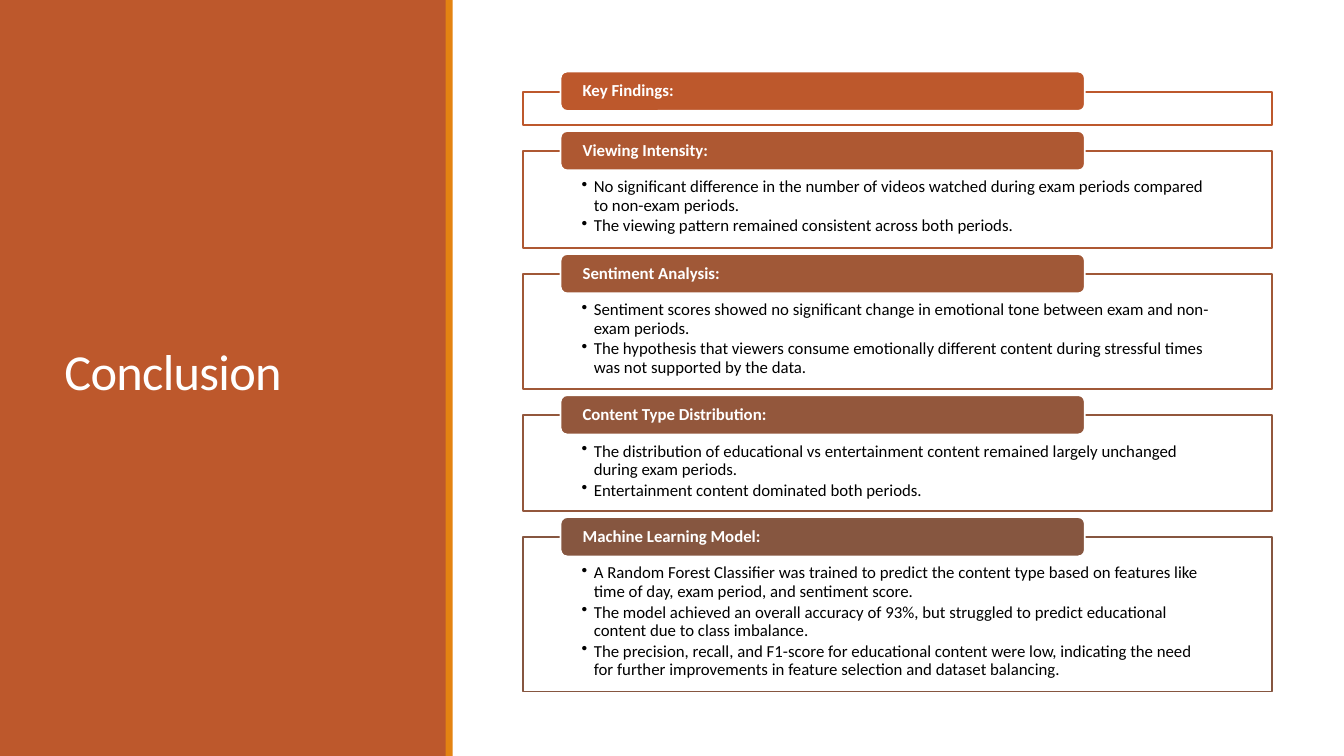
from lxml.etree import SubElement
from pptx import Presentation
from pptx.dml.color import RGBColor
from pptx.enum.shapes import MSO_SHAPE
from pptx.enum.text import MSO_ANCHOR, PP_ALIGN
from pptx.oxml.ns import qn
from pptx.util import Inches, Pt

FONT = "Calibri"
COLORS = {
    "white": "FFFFFF",
    "black": "000000",
    "panel": "BD582C",
    "stripe": "E48312",
}
BOX_LEFT, BOX_WIDTH, FIRST_BOX_TOP, BOX_GAP = 5.19, 7.43, 0.91, 0.26
TAB_LEFT, TAB_WIDTH, TAB_HEIGHT, TAB_RISE = 5.56, 5.2, 0.39, 0.2

# Heading, colour, box height, findings
SECTIONS = [
    ("Key Findings:", "BD582C", 0.33, []),
    ("Viewing Intensity:", "AE5832", 0.96, [
        "No significant difference in the number of videos watched during exam "
        "periods compared to non-exam periods.",
        "The viewing pattern remained consistent across both periods.",
    ]),
    ("Sentiment Analysis:", "A05837", 1.14, [
        "Sentiment scores showed no significant change in emotional tone between "
        "exam and non-exam periods.",
        "The hypothesis that viewers consume emotionally different content during "
        "stressful times was not supported by the data.",
    ]),
    ("Content Type Distribution:", "93573C", 0.95, [
        "The distribution of educational vs entertainment content remained largely "
        "unchanged during exam periods.",
        "Entertainment content dominated both periods.",
    ]),
    ("Machine Learning Model:", "865640", 1.53, [
        "A Random Forest Classifier was trained to predict the content type based "
        "on features like time of day, exam period, and sentiment score.",
        "The model achieved an overall accuracy of 93%, but struggled to predict "
        "educational content due to class imbalance.",
        "The precision, recall, and F1-score for educational content were low, "
        "indicating the need for further improvements in feature selection and "
        "dataset balancing.",
    ]),
]


def add_block(slide, preset, bounds, fill, outline=None):
    block = slide.shapes.add_shape(preset, *map(Inches, bounds))
    block.shadow.inherit = False
    block.fill.solid()
    block.fill.fore_color.rgb = RGBColor.from_string(fill)
    if outline:
        block.line.color.rgb = RGBColor.from_string(outline)
        block.line.width = Pt(1.25)
    else:
        block.line.fill.background()
    return block


def set_frame(frame, anchor, left, top, right, bottom):
    frame.word_wrap = True
    frame.vertical_anchor = anchor
    frame.margin_left, frame.margin_top = Inches(left), Inches(top)
    frame.margin_right, frame.margin_bottom = Inches(right), Inches(bottom)


def add_run(paragraph, text, size, color, bold=False, line_spacing=0.9):
    paragraph.alignment = PP_ALIGN.LEFT
    paragraph.line_spacing = line_spacing
    run = paragraph.add_run()
    run.text = text
    run.font.name = FONT
    run.font.size = Pt(size)
    run.font.bold = bold
    run.font.color.rgb = RGBColor.from_string(color)
    return run


def add_bullet(paragraph):
    properties = paragraph._p.get_or_add_pPr()
    properties.set("marL", str(Inches(0.12)))
    properties.set("indent", str(-Inches(0.12)))
    SubElement(properties, qn("a:buChar"), char="•")


def add_title(slide, text):
    title = slide.shapes.add_textbox(*map(Inches, (0.54, 0.57, 3.37, 6.31)))
    frame = title.text_frame
    set_frame(frame, MSO_ANCHOR.MIDDLE, 0.1, 0.05, 0.1, 0.05)
    run = add_run(frame.paragraphs[0], text, 36, COLORS["white"], line_spacing=0.85)
    run._r.get_or_add_rPr().set("spc", "-50")


def add_section(slide, top, heading, color, height, findings):
    """Draw an outlined box of findings with a heading tab over its top edge."""
    box = add_block(slide, MSO_SHAPE.RECTANGLE, (BOX_LEFT, top, BOX_WIDTH, height),
                    COLORS["white"], color)
    frame = box.text_frame
    set_frame(frame, MSO_ANCHOR.TOP, 0.58, 0.27, 0.58, 0.09)
    for number, finding in enumerate(findings):
        paragraph = frame.add_paragraph() if number else frame.paragraphs[0]
        add_bullet(paragraph)
        add_run(paragraph, finding, 12, COLORS["black"])
        paragraph.space_after = Pt(2)

    tab = add_block(slide, MSO_SHAPE.ROUNDED_RECTANGLE,
                    (TAB_LEFT, top - TAB_RISE, TAB_WIDTH, TAB_HEIGHT),
                    color, COLORS["white"])
    set_frame(tab.text_frame, MSO_ANCHOR.MIDDLE, 0.2, 0, 0.2, 0)
    add_run(tab.text_frame.paragraphs[0], heading, 12, COLORS["white"], bold=True)


def main():
    presentation = Presentation()
    presentation.slide_width = Inches(13.33)
    presentation.slide_height = Inches(7.5)
    slide = presentation.slides.add_slide(presentation.slide_layouts[6])

    add_block(slide, MSO_SHAPE.RECTANGLE, (0, 0, 4.43, 7.5), COLORS["panel"])
    add_title(slide, "Conclusion")
    add_block(slide, MSO_SHAPE.RECTANGLE, (4.42, 0, 0.07, 7.5), COLORS["stripe"])

    top = FIRST_BOX_TOP
    for heading, color, height, findings in SECTIONS:
        add_section(slide, top, heading, color, height, findings)
        top += height + BOX_GAP

    presentation.save("out.pptx")


if __name__ == "__main__":
    main()
